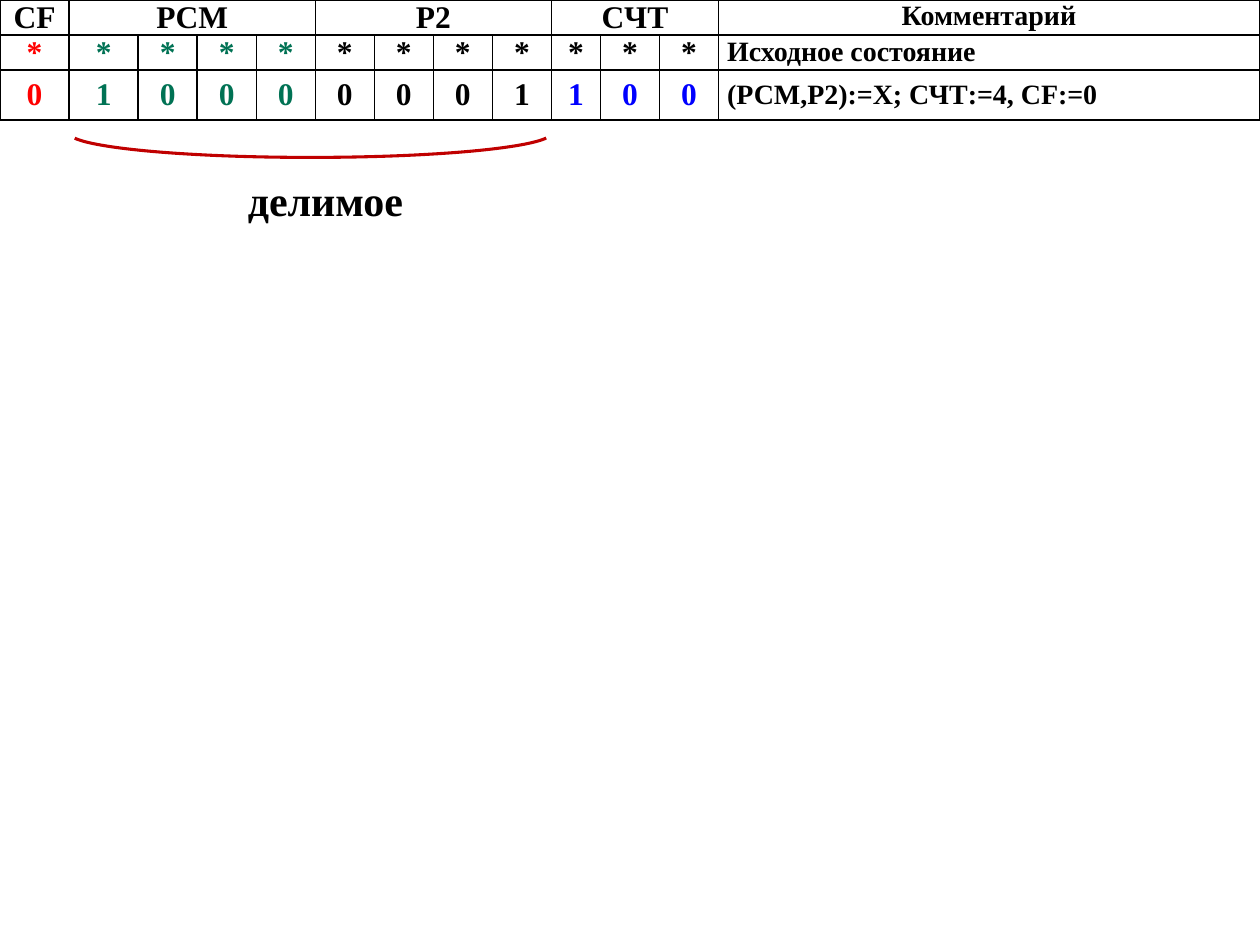
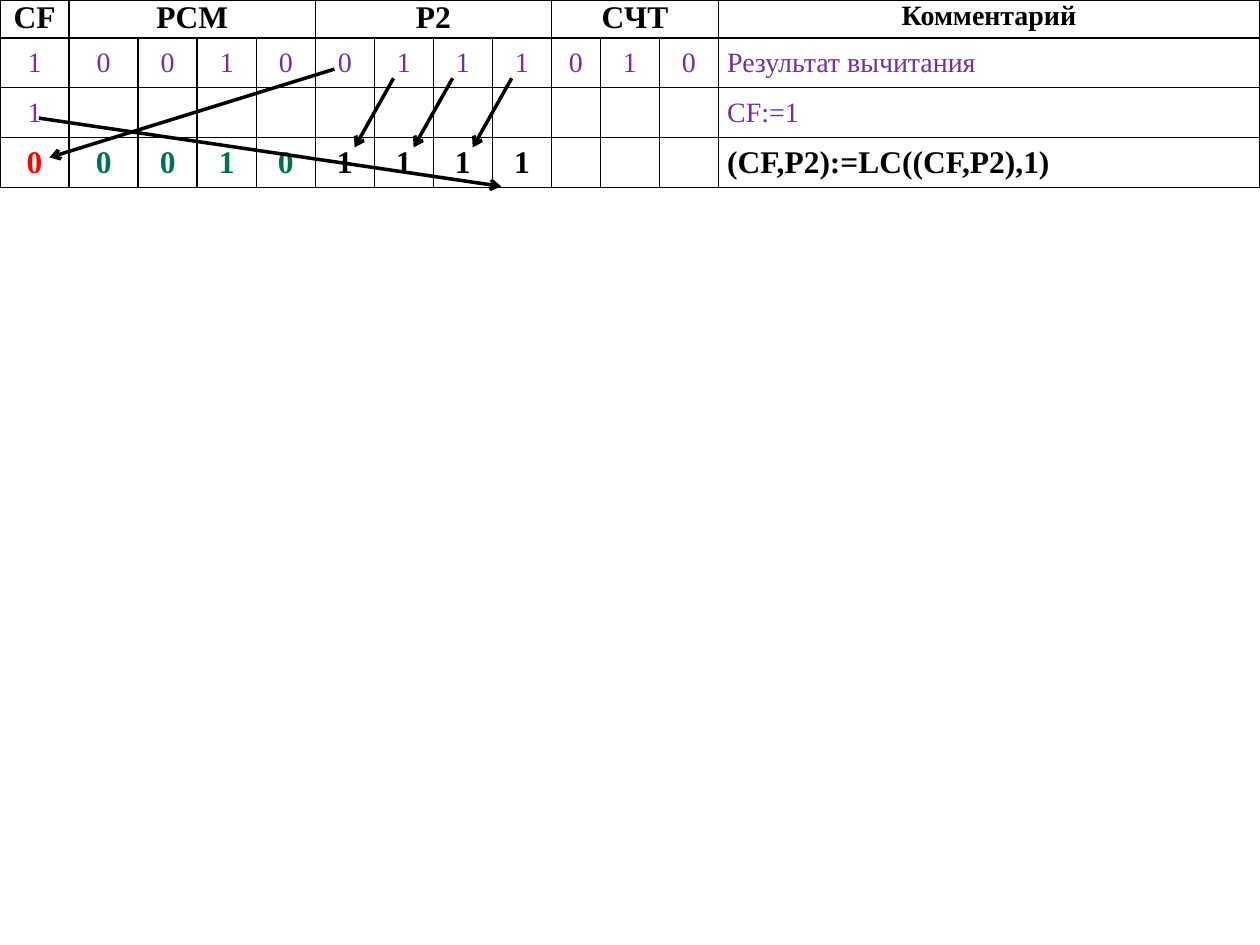
from dataclasses import dataclass
from itertools import accumulate

from lxml.etree import SubElement
from pptx import Presentation
from pptx.dml.color import RGBColor as RGB
from pptx.enum.shapes import MSO_CONNECTOR as CONNECTOR, MSO_SHAPE as SHAPE
from pptx.enum.text import MSO_ANCHOR as ANCHOR, MSO_AUTO_SIZE as AUTO_SIZE, PP_ALIGN as ALIGN
from pptx.oxml.ns import qn
from pptx.util import Pt


@dataclass(frozen=True)
class Theme:
    font: str = "Times New Roman"
    black: str = "000000"
    carry: str = "FF0000"
    sum: str = "007254"
    counter: str = "0000FF"
    interim: str = "7030A0"
    brace: str = "C00000"
    comment_size: int = 16
    digit_size: int = 18
    caption_size: int = 24
    border: float = 1
    brace_width: float = 1.75
    arrow_width: float = 2


THEME = Theme()

# Register name and number of digits
REGISTERS = [("CF", 1), ("PCM", 4), ("P2", 4), ("CЧТ", 3)]
DIGITS = sum(width for _, width in REGISTERS)
WIDE, NARROW, BIT = 39.5, 28, 33.75
COLUMNS = [WIDE] * 2 + [BIT] * 7 + [NARROW] + [BIT] * 2
COLUMNS.append(720 - sum(COLUMNS))
LEFTS = [0, *accumulate(COLUMNS)]
P2_FIRST, P2_LAST = 5, 8
HEADER_HEIGHT, STEP_HEIGHT = 20, 28.5


@dataclass(frozen=True)
class Step:
    digits: str
    comment: str
    colors: tuple = (THEME.carry, THEME.sum, THEME.black, THEME.black)
    height: float = STEP_HEIGHT
    bold: bool = True
    digit_size: int = THEME.digit_size
    comment_size: int = THEME.comment_size


def interim_step(digits, comment):
    return Step(digits, comment, (THEME.interim,) * 4, bold=False, digit_size=THEME.comment_size)


def style(paragraph, size, color=THEME.black, bold=True):
    font = paragraph.font
    font.name, font.size, font.bold = THEME.font, Pt(size), bold
    font.color.rgb = RGB.from_string(color)


def write_cell(cell, text, size, color=THEME.black, bold=True, align=ALIGN.CENTER, anchor=ANCHOR.MIDDLE):
    cell.text = text
    cell.vertical_anchor = anchor
    paragraph = cell.text_frame.paragraphs[0]
    paragraph.alignment = align
    paragraph.space_after = Pt(1)
    style(paragraph, size, color, bold)


def frame_cell(cell):
    """Clear the fill and rule all four sides."""
    cell.margin_left = cell.margin_right = Pt(5)
    cell.margin_top = cell.margin_bottom = 0
    properties = cell._tc.get_or_add_tcPr()
    for side in ("lnL", "lnR", "lnT", "lnB"):
        rule = SubElement(properties, qn(f"a:{side}"), w=str(Pt(THEME.border)))
        SubElement(SubElement(rule, qn("a:solidFill")), qn("a:srgbClr"), val=THEME.black)
    cell.fill.background()


def add_header(table):
    start = 0
    for name, width in REGISTERS:
        cell = table.cell(0, start)
        if width > 1:
            cell.merge(table.cell(0, start + width - 1))
        write_cell(cell, name, THEME.digit_size, anchor=ANCHOR.TOP)
        start += width
    write_cell(table.cell(0, DIGITS), "Комментарий", THEME.comment_size, anchor=ANCHOR.TOP)


def add_step(table, row, step):
    colors = [color for color, (_, width) in zip(step.colors, REGISTERS) for _ in range(width)]
    for column, (digit, color) in enumerate(zip(step.digits, colors)):
        write_cell(table.cell(row, column), digit, step.digit_size, color, step.bold)
    write_cell(table.cell(row, DIGITS), step.comment, step.comment_size,
               colors[P2_FIRST], step.bold, ALIGN.LEFT)


def add_register_table(slide, left, top, steps):
    heights = [HEADER_HEIGHT] + [step.height for step in steps]
    table = slide.shapes.add_table(len(heights), len(COLUMNS), Pt(left), Pt(top),
                                   Pt(sum(COLUMNS)), Pt(sum(heights))).table
    table.first_row = table.horz_banding = False
    for column, width in zip(table.columns, COLUMNS):
        column.width = Pt(width)
    for row, height in zip(table.rows, heights):
        row.height = Pt(height)
    for cell in table.iter_cells():
        frame_cell(cell)
    add_header(table)
    for row, step in enumerate(steps, 1):
        add_step(table, row, step)


def add_dividend_brace(slide, left, top, width):
    """Curve under the two registers that hold the dividend, with its caption."""
    brace = slide.shapes.add_shape(SHAPE.ARC, Pt(left), Pt(top), Pt(width), Pt(28))
    brace.adjustments[0], brace.adjustments[1] = 0.749, 107.227
    brace.shadow.inherit = False
    brace.fill.background()
    brace.line.color.rgb = RGB.from_string(THEME.brace)
    brace.line.width = Pt(THEME.brace_width)

    caption = slide.shapes.add_textbox(Pt(left + 95), Pt(top + 34), Pt(104.5), Pt(36)).text_frame
    caption.word_wrap = False
    caption.auto_size = AUTO_SIZE.SHAPE_TO_FIT_TEXT
    caption.text = "делимое"
    style(caption.paragraphs[0], THEME.caption_size)


def add_arrow(slide, start, end):
    arrow = slide.shapes.add_connector(CONNECTOR.STRAIGHT, *map(Pt, (*start, *end)))
    arrow.line.color.rgb = RGB.from_string(THEME.black)
    arrow.line.width = Pt(THEME.arrow_width)
    SubElement(arrow.line._get_or_add_ln(), qn("a:tailEnd"), type="arrow")
    SubElement(arrow._element.spPr, qn("a:effectLst"))


def add_shift_arrows(slide, left, top):
    """Cyclic left shift through CF and P2."""
    centers = [left + start + width / 2 for start, width in zip(LEFTS, COLUMNS)]
    for column in range(P2_FIRST + 1, P2_LAST + 1):
        add_arrow(slide, (centers[column] - 6, top + 44.75), (centers[column - 1] + 5.5, top + 84.25))
    add_arrow(slide, (centers[0] + 2.5, top + 67.5), (centers[P2_LAST] - 12, top + 106.5))
    add_arrow(slide, (centers[P2_FIRST] - 6, top + 39.5), (centers[0] + 8.5, top + 90))


def add_initial_slide(slide):
    add_register_table(slide, 0, 0, [
        Step("*" * DIGITS, "Исходное состояние", height=HEADER_HEIGHT),
        Step("010000001100", "(РСМ,Р2):=Х; СЧТ:=4, CF:=0",
             (THEME.carry, THEME.sum, THEME.black, THEME.counter)),
    ])
    add_dividend_brace(slide, LEFTS[1], 62, LEFTS[P2_LAST + 1] - LEFTS[1])


def add_shift_slide(slide):
    add_register_table(slide, 0, 0, [
        interim_step("100100111010", "Результат вычитания"),
        interim_step("1", "CF:=1"),
        Step("000101111", "(CF,P2):=LC((CF,P2),1)", comment_size=THEME.digit_size),
    ])
    add_shift_arrows(slide, 0, 0)


def main():
    deck = Presentation()
    deck.slide_width, deck.slide_height = Pt(720), Pt(540)
    blank = deck.slide_layouts[6]
    for fill_slide in (add_initial_slide, add_shift_slide):
        fill_slide(deck.slides.add_slide(blank))
    deck.save("out.pptx")


if __name__ == "__main__":
    main()
